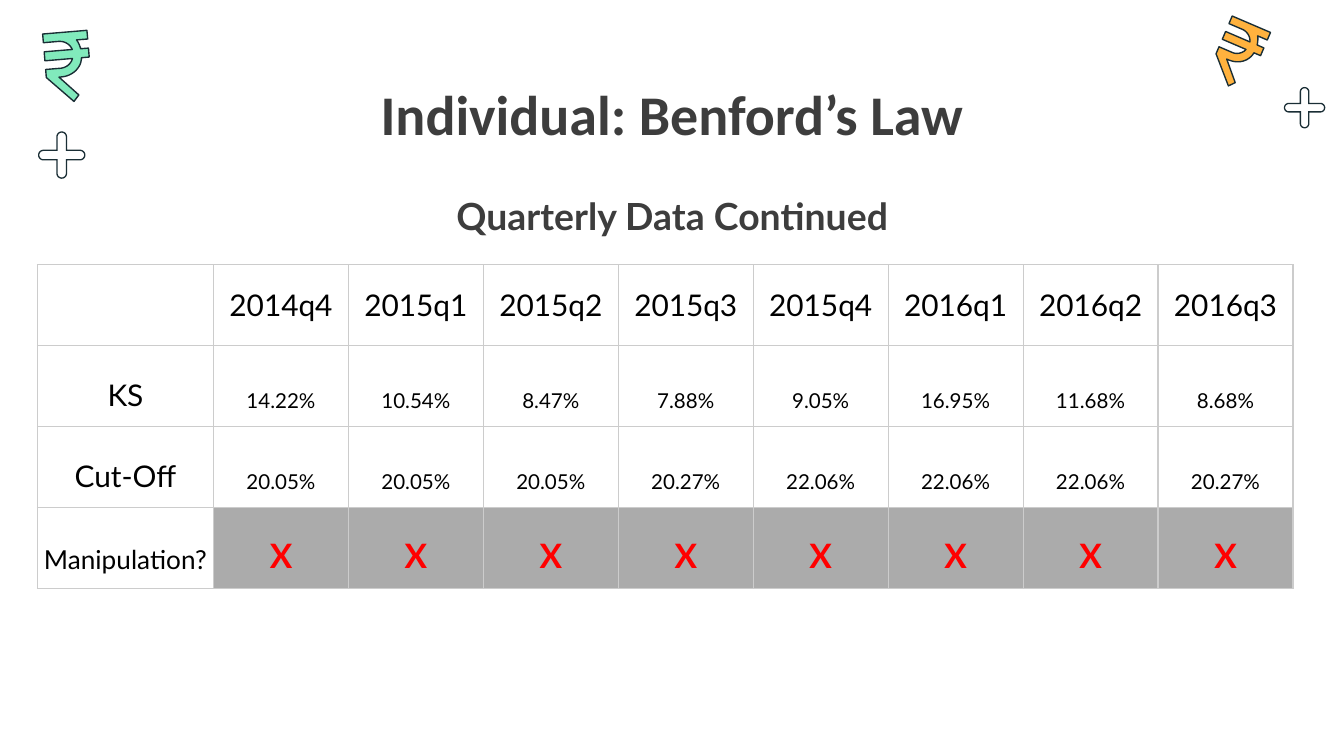
from math import cos, pi, sin

from lxml.etree import SubElement
from pptx import Presentation
from pptx.dml.color import RGBColor
from pptx.enum.text import MSO_ANCHOR, PP_ALIGN
from pptx.oxml.ns import qn
from pptx.util import Pt

INK = RGBColor(0x1A, 0x2E, 0x35)
GREEN = RGBColor(0x81, 0xEA, 0xBC)
ORANGE = RGBColor(0xFF, 0xB2, 0x3E)
HEADING = RGBColor(0x3D, 0x3D, 0x3D)
BLACK = RGBColor(0x00, 0x00, 0x00)
RED = RGBColor(0xFF, 0x00, 0x00)
GRAY = RGBColor(0xAB, 0xAB, 0xAB)
BORDER = RGBColor(0xCC, 0xCC, 0xCC)

# Rupee sign on a 33 x 52 grid: two numbers are a line, six are a curve
RUPEE_SIZE = (33, 52)
RUPEE = [
    (0, 0), (0, 6.5), (11.5, 6.5), (15.5, 6.5, 19.5, 9, 21, 13.3),
    (0, 13.3), (0, 20), (20.5, 20), (19.5, 23.5, 15.5, 26.5, 11.5, 26.5),
    (0, 26.5), (0, 32.5), (19, 52), (23, 47.5), (9.4, 33), (11.5, 33),
    (19.5, 33, 26.5, 27.5, 27.3, 20), (33, 20), (33, 13.3), (27.2, 13.3),
    (26.8, 11, 26, 8.5, 24.7, 6.5), (33, 6.5), (33, 0),
]

HEADER = ["", "2014q4", "2015q1", "2015q2", "2015q3", "2015q4", "2016q1", "2016q2", "2016q3"]
KS = ["KS", "14.22%", "10.54%", "8.47%", "7.88%", "9.05%", "16.95%", "11.68%", "8.68%"]
CUT_OFF = ["Cut-Off", "20.05%", "20.05%", "20.05%", "20.27%", "22.06%", "22.06%", "22.06%", "20.27%"]
MANIPULATION = ["Manipulation?"] + ["X"] * 8

LABEL = {"name": "Lato", "size": Pt(16), "bold": False}
VALUE = {**LABEL, "size": Pt(11)}
QUESTION = {**LABEL, "size": Pt(14)}
MARK = {**LABEL, "size": Pt(18), "bold": True}


def set_text(tf, text, font, color):
    p = tf.paragraphs[0]
    p.alignment = PP_ALIGN.CENTER
    r = p.add_run()
    r.text = text
    for name, value in font.items():
        setattr(r.font, name, value)
    r.font.color.rgb = color
    return p


def add_heading(slide, box, text, font):
    tf = slide.shapes.add_textbox(*map(Pt, box)).text_frame
    tf.word_wrap = True
    tf.vertical_anchor = MSO_ANCHOR.TOP
    for side in ("left", "top", "right", "bottom"):
        setattr(tf, f"margin_{side}", Pt(7.2))
    set_text(tf, text, font, HEADING)


def add_outline(slide, contours, fill):
    """Draw closed contours, given in points, as one filled shape."""
    first, *others = [[(Pt(x), Pt(y)) for x, y in c] for c in contours]
    builder = slide.shapes.build_freeform(*first[0])
    builder.add_line_segments(first[1:])
    for contour in others:
        builder.move_to(*contour[0])
        builder.add_line_segments(contour[1:])
    sp = builder.convert_to_shape()
    sp.shadow.inherit = False
    sp.fill.solid()
    sp.fill.fore_color.rgb = fill
    sp.line.fill.background()
    return sp


def curve(start, c, steps=12):
    for i in range(1, steps + 1):
        t = i / steps
        u = 1 - t
        yield tuple(u**3 * start[k] + 3 * u * u * t * c[k]
                    + 3 * u * t * t * c[2 + k] + t**3 * c[4 + k] for k in (0, 1))


def add_rupee(slide, box, rotation, fill):
    left, top, width, height = box
    points = []
    for step in RUPEE:
        points.extend(curve(points[-1], step) if len(step) == 6 else [step])
    sx, sy = width / RUPEE_SIZE[0], height / RUPEE_SIZE[1]
    sp = add_outline(slide, [[(left + x * sx, top + y * sy) for x, y in points]], fill)
    sp.rotation = rotation
    sp.line.color.rgb = INK
    sp.line.width = Pt(0.75)


def rounded_cross(cx, cy, reach, radius, steps=12):
    """Four round-ended arms, each followed by an inner corner."""
    points = []
    for arm in range(4):
        turn = arm * pi / 2
        local = [(reach - radius + radius * cos(a), radius * sin(a))
                 for a in (-pi / 2 + pi * i / steps for i in range(steps + 1))]
        for x, y in local + [(radius, radius)]:
            points.append((cx + x * cos(turn) - y * sin(turn),
                           cy + x * sin(turn) + y * cos(turn)))
    return points


def add_plus(slide, box, radius, stroke=0.7):
    left, top, width, height = box
    cx, cy, reach = left + width / 2, top + height / 2, width / 2
    outer = rounded_cross(cx, cy, reach, radius)
    inner = rounded_cross(cx, cy, reach - stroke, radius - stroke)
    add_outline(slide, [outer, inner[::-1]], INK)


def add_borders(cell):
    tc_pr = cell._tc.get_or_add_tcPr()
    for tag in ("a:lnL", "a:lnR", "a:lnT", "a:lnB"):
        ln = SubElement(tc_pr, qn(tag), w=str(Pt(0.75)))
        SubElement(SubElement(ln, qn("a:solidFill")), qn("a:srgbClr"), val=str(BORDER))


def add_results_table(slide, box):
    left, top, width, height = box
    # Each row: texts, label font, value font, value colour, value fill
    rows = [
        (HEADER, LABEL, LABEL, BLACK, None),
        (KS, LABEL, VALUE, BLACK, None),
        (CUT_OFF, LABEL, VALUE, BLACK, None),
        (MANIPULATION, QUESTION, MARK, RED, GRAY),
    ]
    n_cols, label_width = len(HEADER), 94.4
    table = slide.shapes.add_table(len(rows), n_cols, *map(Pt, box)).table
    table.first_row = table.horz_banding = False
    for i, col in enumerate(table.columns):
        col.width = Pt((width - label_width) / (n_cols - 1) if i else label_width)
    for row in table.rows:
        row.height = Pt(height / len(rows))

    for i, (texts, label_font, value_font, value_color, value_fill) in enumerate(rows):
        for j, text in enumerate(texts):
            cell = table.cell(i, j)
            cell.margin_left = cell.margin_right = Pt(2.25)
            cell.margin_top = cell.margin_bottom = Pt(7.2)
            cell.vertical_anchor = MSO_ANCHOR.BOTTOM if i else MSO_ANCHOR.MIDDLE
            add_borders(cell)
            if j and value_fill:
                cell.fill.solid()
                cell.fill.fore_color.rgb = value_fill
            else:
                cell.fill.background()
            if text:
                font, color = (value_font, value_color) if j else (label_font, BLACK)
                p = set_text(cell.text_frame, text, font, color)
                if i:
                    p.line_spacing = 1.15


def main():
    prs = Presentation()
    prs.slide_width, prs.slide_height = Pt(720), Pt(405)
    slide = prs.slides.add_slide(prs.slide_layouts[6])

    # Corner decorations
    add_plus(slide, (20.4, 70.4, 25.4, 25.4), 2.9)
    add_plus(slide, (687.8, 46.6, 22.2, 22.2), 2.6)
    add_rupee(slide, (652.3, 11.6, 22.3, 35.2), 23.2, ORANGE)
    add_rupee(slide, (24.4, 17.2, 23.8, 37.4), 355.2, GREEN)

    # Title, results and subtitle
    add_heading(slide, (56.6, 35.3, 607, 45.4), "Individual: Benford’s Law",
                {"name": "Calibri", "size": Pt(30), "bold": True})
    add_results_table(slide, (20, 141.8, 672.8, 173.6))
    add_heading(slide, (56.6, 96.5, 607, 45.4), "Quarterly Data Continued",
                {"name": "Lato", "size": Pt(20), "bold": True})

    prs.save("out.pptx")


if __name__ == "__main__":
    main()
